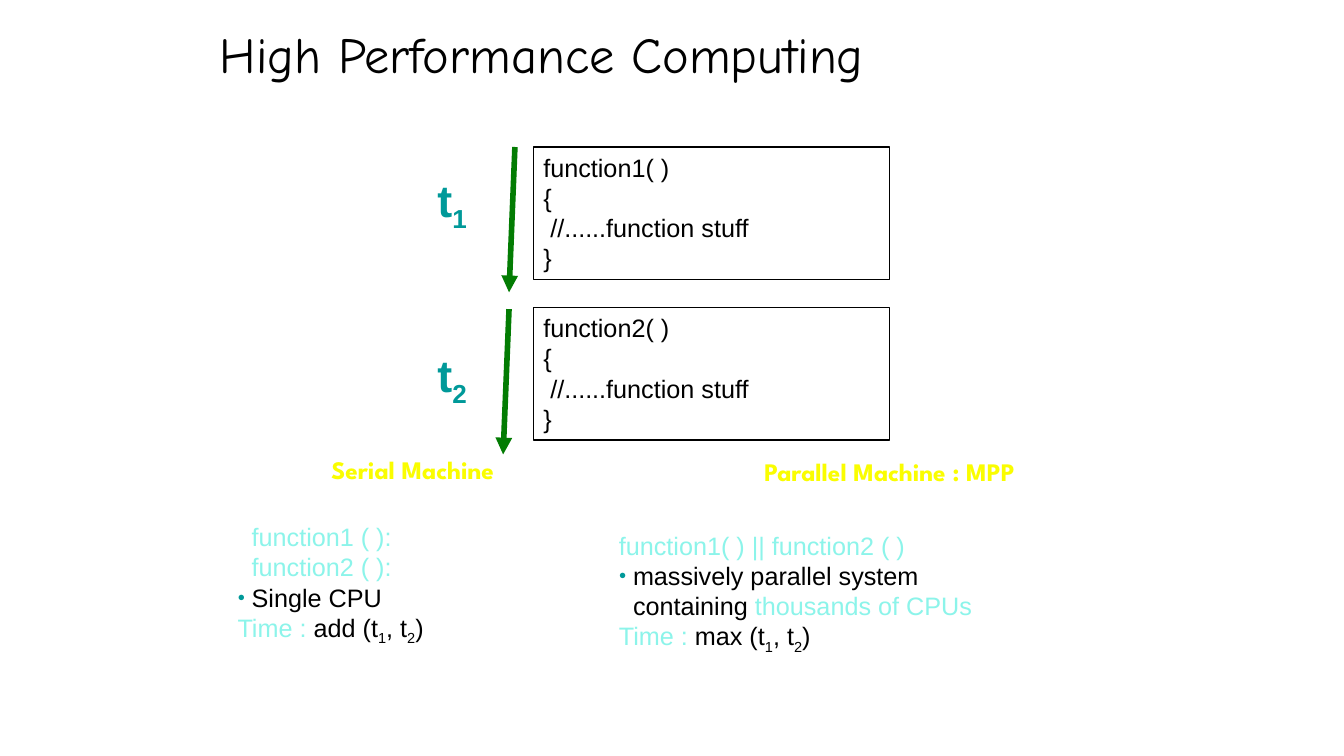
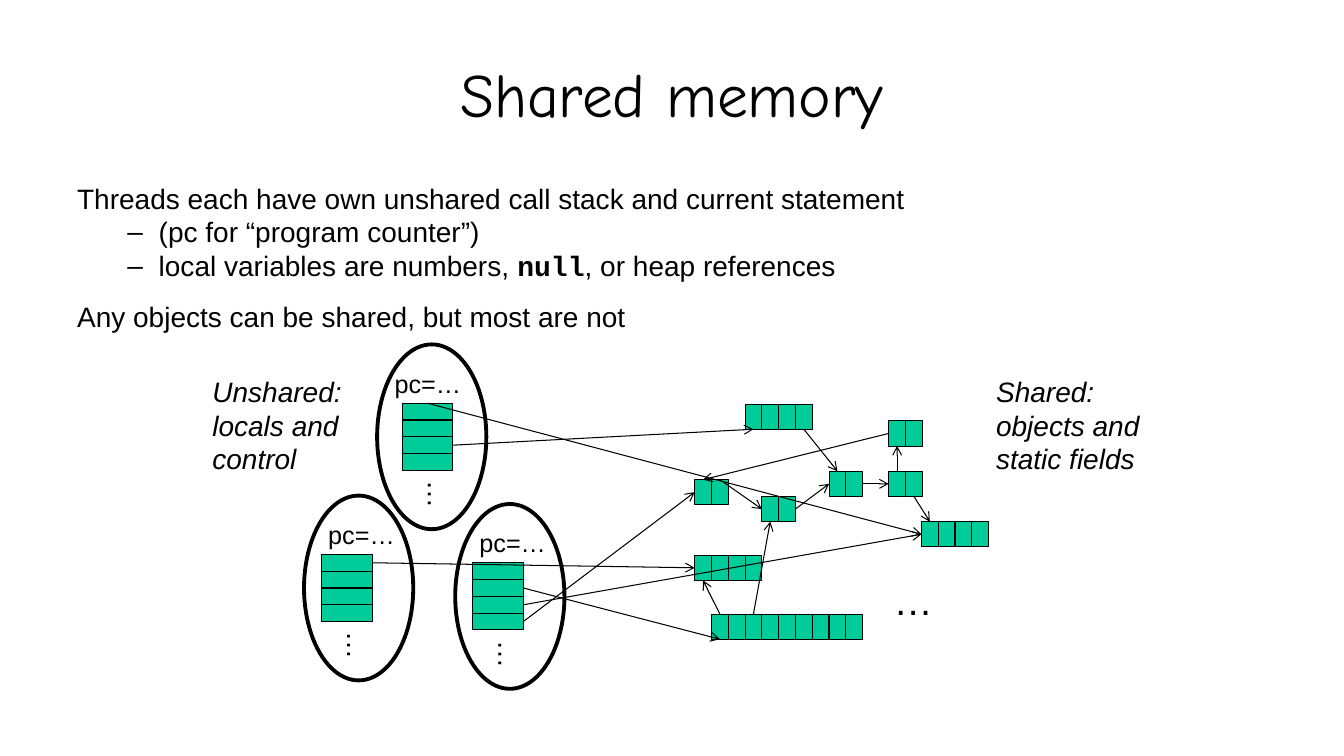
import pptx
import pptx.util
import pptx.dml.color
import pptx.enum.shapes
import pptx.enum.text
import pptx.oxml.ns
import lxml.etree
from dataclasses import dataclass

COLS, ROWS = 80, 45
CELL = pptx.util.Inches(7.5) / ROWS
BLACK, TEAL, AQUA = "000000", "009999", "8CF4EA"
YELLOW, GREEN, MINT = "FAFD00", "037C03", "00CC99"
BODY_FONT, TITLE_FONT = "Arial", "Comic Neue"
HEADING_FONT, CODE_FONT = "League Spartan", "Courier New"
ALIGN = pptx.enum.text.PP_ALIGN
ANCHOR = pptx.enum.text.MSO_ANCHOR
SHAPE = pptx.enum.shapes.MSO_SHAPE
SUBSCRIPT = {"baseline": "-25000"}


@dataclass
class Style:
    size: float = 18
    font: str = BODY_FONT
    color: str = BLACK
    bold: bool = False
    italic: bool = False
    align: int = ALIGN.LEFT
    spacing: float = 1.0


@dataclass
class Para:
    runs: list
    bullet: str = ""
    bullet_color: str = BLACK
    bullet_percent: int = 100
    margin: float = 0
    hanging: float = 0
    before: float = 0


def rgb(value):
    return pptx.dml.color.RGBColor.from_string(value)


def grid(*cells):
    return [round(cell * CELL) for cell in cells]


def add_xml(parent, tag, **attributes):
    return lxml.etree.SubElement(parent, pptx.oxml.ns.qn(tag), **attributes)


def format_paragraph(paragraph, para, style):
    properties = paragraph._p.get_or_add_pPr()
    properties.set("marL", str(pptx.util.Inches(para.margin)))
    properties.set("indent", str(-pptx.util.Inches(para.hanging)))
    if para.bullet:
        color = add_xml(properties, "a:buClr")
        add_xml(color, "a:srgbClr", val=para.bullet_color)
        add_xml(properties, "a:buSzPct", val=str(para.bullet_percent * 1000))
        add_xml(properties, "a:buFont", typeface=BODY_FONT)
        add_xml(properties, "a:buChar", char=para.bullet)
    paragraph.alignment = style.align
    paragraph.line_spacing = style.spacing
    paragraph.space_before = pptx.util.Pt(para.before)
    font = paragraph.font
    font.size = pptx.util.Pt(style.size)
    font.name = style.font
    font.bold = style.bold
    font.italic = style.italic
    font.color.rgb = rgb(style.color)


def write(frame, paras, style, anchor=ANCHOR.TOP):
    frame.word_wrap = True
    frame.vertical_anchor = anchor
    for index, para in enumerate(paras):
        if isinstance(para, str):
            para = Para([para])
        paragraph = frame.add_paragraph() if index else frame.paragraphs[0]
        format_paragraph(paragraph, para, style)
        for item in para.runs:
            words, changes = (item, {}) if isinstance(item, str) else item
            run = paragraph.add_run()
            run.text = words
            if "color" in changes:
                run.font.color.rgb = rgb(changes["color"])
            if "font" in changes:
                run.font.name = changes["font"]
            if "bold" in changes:
                run.font.bold = changes["bold"]
            if "baseline" in changes:
                run._r.get_or_add_rPr().set("baseline", changes["baseline"])


def text(slide, box, paras, style, anchor=ANCHOR.TOP):
    label = slide.shapes.add_textbox(*grid(*box))
    write(label.text_frame, paras, style, anchor)
    return label


def outline(slide, kind, box, width, fill=None):
    shape = slide.shapes.add_shape(kind, *grid(*box))
    shape.shadow.inherit = False
    if fill:
        shape.fill.solid()
        shape.fill.fore_color.rgb = rgb(fill)
    else:
        shape.fill.background()
    shape.line.color.rgb = rgb(BLACK)
    shape.line.width = pptx.util.Pt(width)
    return shape


def arrow(slide, start, end, color=BLACK, width=0.75, head="arrow"):
    straight = pptx.enum.shapes.MSO_CONNECTOR.STRAIGHT
    connector = slide.shapes.add_connector(straight, *grid(*start, *end))
    connector.line.color.rgb = rgb(color)
    connector.line.width = pptx.util.Pt(width)
    add_xml(connector.line._get_or_add_ln(), "a:tailEnd", type=head)
    add_xml(connector._element.spPr, "a:effectLst")


def title(slide, box, words, size):
    text(slide, box, [words], Style(size, TITLE_FONT, align=ALIGN.CENTER), ANCHOR.MIDDLE)


def timed_function(slide, box, number, arrow_start, label_drop):
    left, top, width, height = box
    code = outline(slide, SHAPE.RECTANGLE, box, 1)
    lines = [f"function{number}( )", "{", " //......function stuff", "}"]
    write(code.text_frame, lines, Style())
    start_x, start_y = left + arrow_start[0], top + arrow_start[1]
    arrow(slide, (start_x, start_y), (start_x - 0.35, start_y + 8.65), GREEN, 4, "triangle")
    time = Para(["t", (str(number), SUBSCRIPT)])
    text(slide, (left - 6.3, top + label_drop, 4, 3.85), [time],
         Style(32, color=TEAL, bold=True))


def machine(slide, heading, heading_box, details, details_box, combine):
    heading_style = Style(18, HEADING_FONT, YELLOW, True, align=ALIGN.RIGHT, spacing=0.9)
    text(slide, heading_box, [heading], heading_style, ANCHOR.MIDDLE)
    time = Para([("Time : ", {"color": AQUA}), f"{combine} (t", ("1", SUBSCRIPT),
                 ", t", ("2", SUBSCRIPT), ")"])
    text(slide, details_box, details + [time], Style())


def dotted(*runs):
    return Para(list(runs), "●", TEAL, 50, 0.14, 0.14)


def computing_slide(slide):
    title(slide, (10, -0.1, 44.5, 6.5), "High Performance Computing", 36)
    left, top, width, height, pitch = 31.75, 8.75, 21.2, 7.9, 9.55
    settings = [((-1.1, 0), 1.25), ((-1.45, 0.1), 2.1)]
    for index, (arrow_start, label_drop) in enumerate(settings):
        timed_function(slide, (left, top + index * pitch, width, height),
                       index + 1, arrow_start, label_drop)
    calls = [Para([(f"function{number} ( ):", {"color": AQUA})], margin=0.14)
             for number in (1, 2)]
    machine(slide, "Serial Machine", (14, 25.4, 16, 5.3),
            calls + [dotted("Single CPU")], (13.55, 30.75, 14, 7.9), "add")
    parallel = [
        Para([("function1( ) || function2 ( )", {"color": AQUA})]),
        dotted("massively parallel system"),
        Para(["containing ", ("thousands of CPUs", {"color": AQUA})], margin=0.14),
    ]
    machine(slide, "Parallel Machine : MPP", (34.25, 25.85, 26.75, 4.6),
            parallel, (36.25, 31.25, 24, 7.9), "max")


def memory_cells(slide, box, count, step):
    left, top, width, height = box
    for index in range(count):
        outline(slide, SHAPE.RECTANGLE,
                (left + index * step[0], top + index * step[1], width, height), 0.75, MINT)


def thread(slide, box, frames_shift, label_shift):
    left, top, width, height = box
    frames_left, frames_top = left + frames_shift, top + 3.5
    outline(slide, SHAPE.OVAL, box, 2.75)
    memory_cells(slide, (frames_left, frames_top, 3, 1), 4, (0, 1))
    text(slide, (frames_left + label_shift, frames_top - 2.4, 6, 2.4), ["pc=…"], Style())
    dots = text(slide, (frames_left + 0.7, frames_top + 4.15, 2.9, 2.65), ["…"], Style(20))
    dots.rotation = 90
    return frames_left, frames_top


def heap(slide, left, top):
    objects = {
        "pair": (0, 4.5, 2), "quad": (0, 9, 4), "middle": (4, 5.5, 2),
        "hub": (8, 4, 2), "top": (3, 0, 4), "last": (13.5, 7, 4),
        "array": (1, 12.5, 9), "lower": (11.55, 4, 2), "upper": (11.55, 1, 2),
    }
    corners = {}
    for name, (col, row, count) in objects.items():
        corners[name] = left + col, top + row
        memory_cells(slide, (*corners[name], 1, 1.5), count, (1, 0))
    text(slide, (left + 11.25, top + 9.95, 3.55, 3.4), ["…"], Style(28))
    return corners


def memory_diagram(slide, left, top):
    corners = heap(slide, left + 29.3, top + 2.05)
    threads = {"first": (10.4, -1.5, 1.5, -1.05), "second": (6.05, 7.5, 1.05, -0.2),
               "third": (15.05, 8, 1.05, -0.2)}
    for name, (col, row, frames_shift, label_shift) in threads.items():
        corners[name] = thread(slide, (left + col, top + row, 6.5, 11),
                               frames_shift, label_shift)
    pointers = [
        ("top", 3.5, 1.5, "hub", 0.5, 0),
        ("pair", 1.5, 0, "middle", 0, 0.75),
        ("middle", 2, 0.75, "hub", 0, 0.75),
        ("array", 0.5, 0, "quad", 0.5, 1.5),
        ("array", 2.5, 0, "middle", 0.5, 1.5),
        ("hub", 2, 0.75, "lower", 0, 0.75),
        ("lower", 0.5, 0, "upper", 0.5, 1.5),
        ("upper", 0, 0.75, "pair", 0.5, 0),
        ("lower", 1.5, 1.5, "last", 0.5, 0),
        ("first", 1.5, 0, "last", 0, 0.75),
        ("first", 3, 2.5, "top", 0.5, 1.5),
        ("second", 3, 0.5, "quad", 0, 0.75),
        ("third", 3, 1.5, "array", 0.5, 1.5),
        ("third", 3, 3.5, "pair", 0, 0.75),
        ("third", 3, 2.5, "last", 0, 0.75),
    ]
    for source, from_x, from_y, target, to_x, to_y in pointers:
        (source_x, source_y), (target_x, target_y) = corners[source], corners[target]
        arrow(slide, (source_x + from_x, source_y + from_y),
              (target_x + to_x, target_y + to_y))
    captions = [(0, ["Unshared:", "locals and", "control"]),
                (46.65, ["Shared:", "objects and", "static fields"])]
    for col, lines in captions:
        text(slide, (left + col, top, 10.5, 6.65), lines, Style(20, italic=True))


def dashed(*runs):
    return Para(list(runs), "–", margin=0.81, hanging=0.31)


def memory_slide(slide):
    title(slide, (4, 1.8, 72, 7.5), "Shared memory", 44)
    points = [
        "Threads each have own unshared call stack and current statement",
        dashed("(pc for “program counter”)"),
        dashed("local variables are numbers, ",
               ("null", {"font": CODE_FONT, "bold": True}), ", or heap references"),
        Para(["Any objects can be shared, but most are not"], before=12),
    ]
    text(slide, (4, 10.5, 72, 10), points, Style(20))
    memory_diagram(slide, 12.05, 22)


def main():
    deck = pptx.Presentation()
    deck.slide_width, deck.slide_height = grid(COLS, ROWS)
    blank = deck.slide_layouts[6]
    for build in (computing_slide, memory_slide):
        build(deck.slides.add_slide(blank))
    deck.save("out.pptx")


if __name__ == "__main__":
    main()
